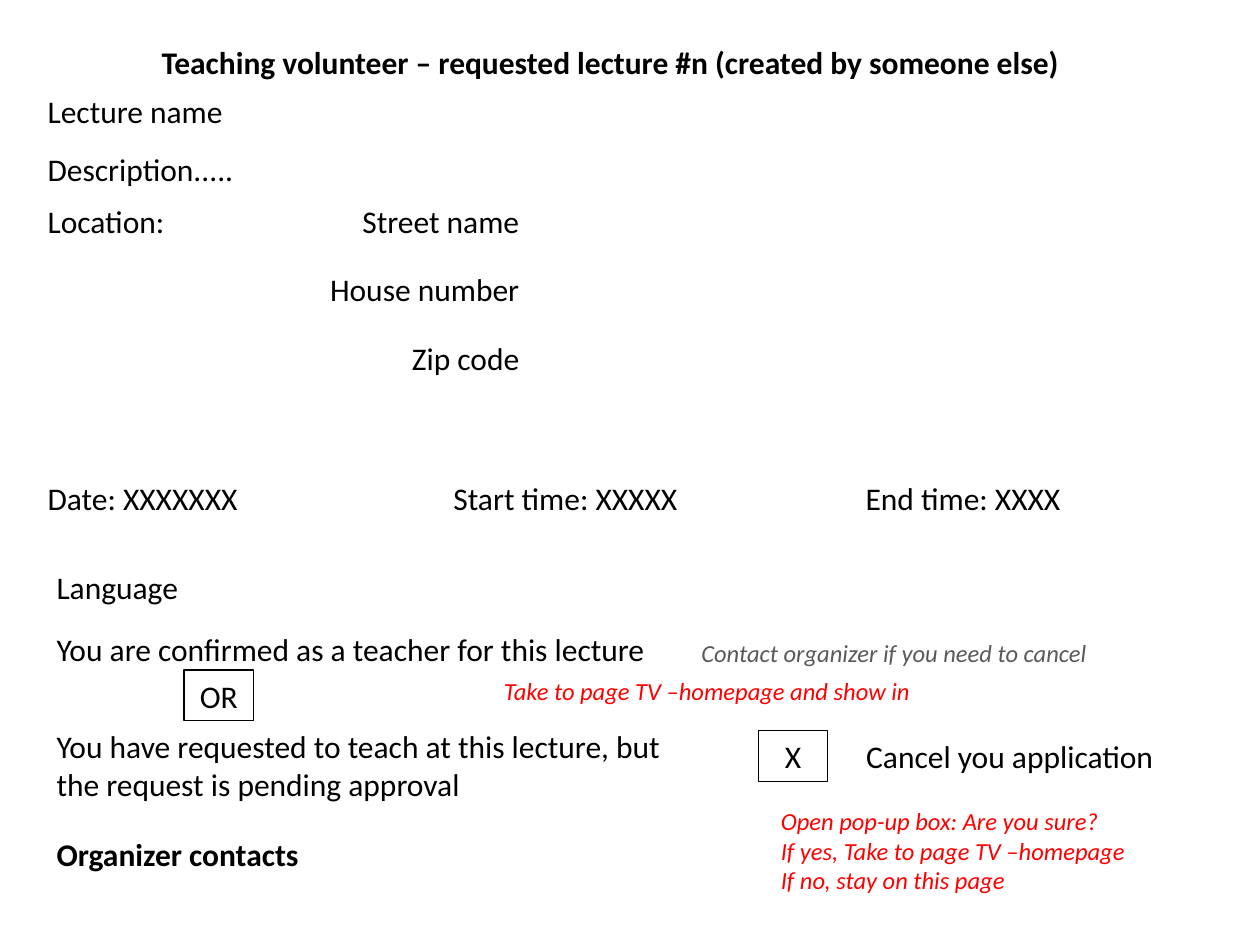
from dataclasses import dataclass

from pptx import Presentation
from pptx.dml.color import RGBColor
from pptx.enum.shapes import MSO_SHAPE as Shape
from pptx.enum.text import MSO_ANCHOR as Anchor, PP_ALIGN as Align
from pptx.util import Cm, Pt


@dataclass(frozen=True)
class Theme:
    font: str = "Calibri"
    ink: RGBColor = RGBColor(0, 0, 0)
    hint: RGBColor = RGBColor(0x59, 0x59, 0x59)
    action: RGBColor = RGBColor(0xFF, 0, 0)
    body: int = 18
    note: int = 14
    outline: float = 0.75


theme = Theme()

# Content: text with its place in centimetres
FIELD_WIDTH, LINE_HEIGHT, NOTE_HEIGHT = 6.81, 1.02, 0.86
FIELD_LEFT, STATUS_LEFT = 0.71, 0.89
ADDRESS_LEFT, ADDRESS_TOP, ADDRESS_STEP = 3.91, 3.94, 1.38
TIME_TOP, CANCEL_TOP = 9.53, 14.73

title = "Teaching volunteer – requested lecture #n (created by someone else)"
fields = [("Lecture name", 1.73), ("Description.....", 2.9), ("Location:", ADDRESS_TOP)]
address = ["Street name", "House number", "Zip code"]
times = [("Date: XXXXXXX", FIELD_LEFT), ("Start time: XXXXX", 8.89), ("End time: XXXX", 17.2)]
statuses = [  # text, top, width, height, bold
    ("Language", 11.33, FIELD_WIDTH, LINE_HEIGHT, False),
    ("You are confirmed as a teacher for this lecture", 12.57, 16.61, LINE_HEIGHT, False),
    ("You have requested to teach at this lecture, but the request is pending approval",
     14.53, 13.21, 1.8, False),
    ("Organizer contacts", 16.71, FIELD_WIDTH, LINE_HEIGHT, True),
]
buttons = [("OR", 3.71, 13.51), ("X", 15.29, CANCEL_TOP)]
notes = [  # lines, left, top, width, height, colour
    (["Contact organizer if you need to cancel"], 13.89, 12.73, 16.41, NOTE_HEIGHT, theme.hint),
    (["Take to page TV –homepage and show in "], 9.91, 13.51, 10.01, NOTE_HEIGHT, theme.action),
    (["Open pop-up box: Are you sure?", "If yes, Take to page TV –homepage",
      "If no, stay on this page"], 15.49, 16.13, 14, 2.06, theme.action),
]

deck = Presentation()
deck.slide_width, deck.slide_height = Cm(25.4), Cm(19.05)
page = deck.slides.add_slide(deck.slide_layouts[6])


def write(box, lines, align=Align.LEFT, size=theme.body, color=theme.ink,
          bold=False, italic=False):
    frame = box.text_frame
    frame.word_wrap = True
    for index, line in enumerate(lines):
        para = frame.add_paragraph() if index else frame.paragraphs[0]
        para.alignment = align
        span = para.add_run()
        span.text = line
        font = span.font
        font.name, font.size, font.color.rgb = theme.font, Pt(size), color
        font.bold, font.italic = bold, italic


def add_text(lines, left, top, width=FIELD_WIDTH, height=LINE_HEIGHT, **style):
    box = page.shapes.add_textbox(Cm(left), Cm(top), Cm(width), Cm(height))
    write(box, lines, **style)


def add_button(label, left, top):
    box = page.shapes.add_shape(Shape.RECTANGLE, Cm(left), Cm(top), Cm(1.4), Cm(LINE_HEIGHT))
    box.shadow.inherit = False
    box.fill.background()
    box.line.color.rgb = theme.ink
    box.line.width = Pt(theme.outline)
    box.text_frame.vertical_anchor = Anchor.MIDDLE
    write(box, [label], align=Align.CENTER)


# Title and lecture details
add_text([title], 2.11, 0.74, 20.4, align=Align.CENTER, bold=True)
for label, top in fields:
    add_text([label], FIELD_LEFT, top)
for row, label in enumerate(address):
    add_text([label], ADDRESS_LEFT, ADDRESS_TOP + row * ADDRESS_STEP, align=Align.RIGHT)
for label, left in times:
    add_text([label], left, TIME_TOP)

# Application status
for label, top, width, height, bold in statuses:
    add_text([label], STATUS_LEFT, top, width, height, bold=bold)
for button in buttons:
    add_button(*button)
add_text(["Cancel you application"], 16.69, CANCEL_TOP, align=Align.RIGHT)

# Notes on behaviour
for lines, left, top, width, height, color in notes:
    add_text(lines, left, top, width, height, size=theme.note, color=color, italic=True)

deck.save("out.pptx")
